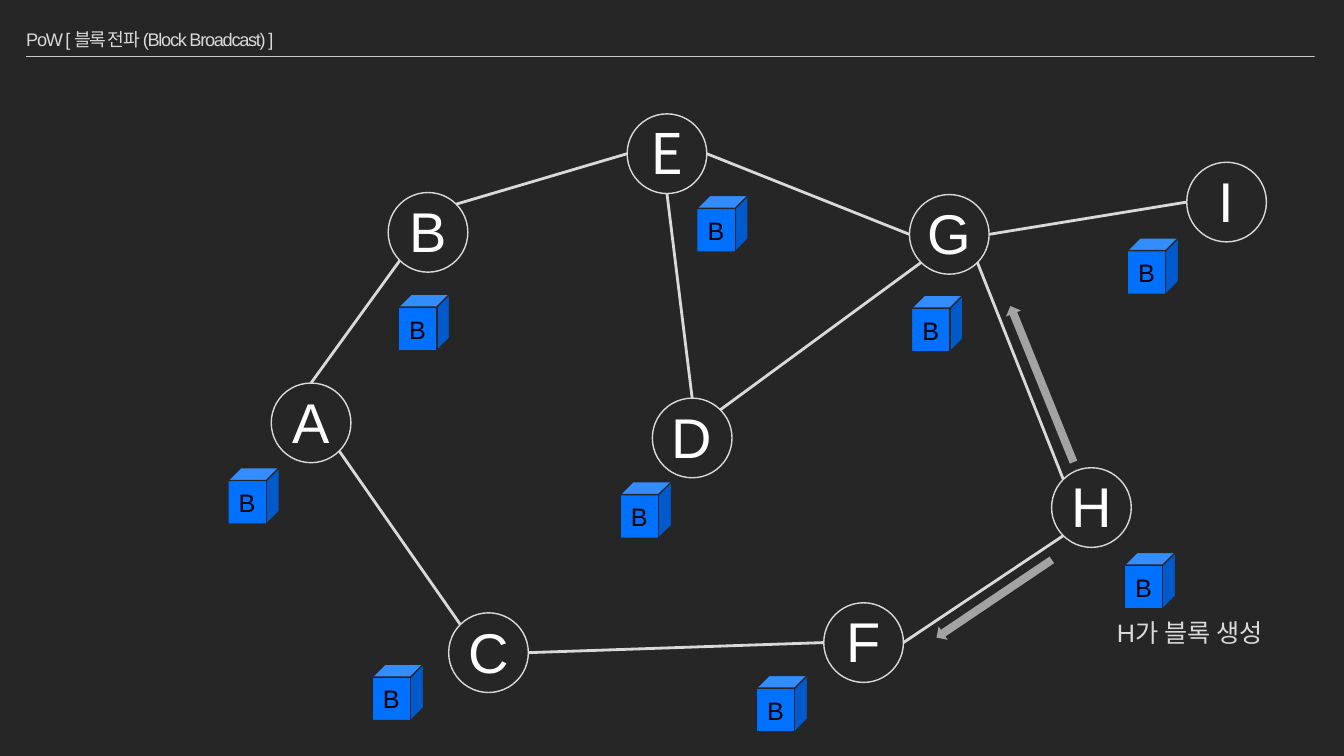
import math
from lxml import etree
from pptx import Presentation
from pptx import util as u
from pptx.dml.color import RGBColor
from pptx.enum import shapes, text
from pptx.oxml.ns import qn

SCALE = 9144
SIZE = 1333, 750
NODE = 79
CUBE = 51, 56
LATIN, KOREAN = "Arial", "Noto Sans CJK KR"
DARK, PALE, WHITE, BLACK, BLUE = "262626", "D9D9D9", "FFFFFF", "000000", "0071FF"

TITLE = "PoW [ 블록 전파 (Block Broadcast) ]"
NOTE = "H가 블록 생성"
NODES = {
    "A": (269, 380), "I": (1177, 161), "H": (1043, 464),
    "G": (902, 193), "F": (817, 598), "E": (622, 113),
    "D": (647, 395), "C": (445, 608), "B": (385, 191),
}
ANGLES = {"right": 0, "low right": 45, "bottom": 90, "low left": 135,
          "left": 180, "top left": 225, "top": 270, "top right": 315}
LINKS = [
    ("A", "top", "B", "low left"),
    ("E", "left", "B", "top right"),
    ("E", "bottom", "D", "top"),
    ("A", "low right", "C", "top left"),
    ("C", "right", "F", "left"),
    ("F", "right", "H", "low left"),
    ("D", "top right", "G", "low left"),
    ("G", "right", "I", "left"),
    ("G", "left", "E", "right"),
    ("G", "low right", "H", "top left"),
]
ARROWS = [((917, 586, 138, 16), 146), ((950, 373, 167, 16), 248)]
CUBES = [(750, 670), (1115, 548), (904, 293), (1118, 236), (691, 194),
         (615, 478), (395, 292), (226, 464), (369, 659)]


def px(*vals):
    return [u.Emu(round(v * SCALE)) for v in vals]


def tint(fill, color, alpha=None):
    fill.solid()
    fill.fore_color.rgb = RGBColor.from_string(color)
    if alpha:
        for clr in fill._xPr.iter(qn("a:srgbClr")):
            etree.SubElement(clr, qn("a:alpha")).set("val", str(alpha * 1000))


def style(obj, **vals):
    for key, val in vals.items():
        setattr(obj, key, val)


def write(shape, words, size, color, face=LATIN, align=None, **frame):
    style(shape.text_frame, **frame)
    par = shape.text_frame.paragraphs[0]
    par.alignment = align
    run = par.add_run()
    run.text = words
    style(run.font, size=u.Pt(size), name=face)
    tint(run.font.fill, color)
    etree.SubElement(run.font._element, qn("a:ea")).set("typeface", KOREAN)
    return par, run


def draw(kind, box, fill=None, line=None, alpha=None):
    shape = slide.shapes.add_shape(kind, *px(*box))
    shape.shadow.inherit = False
    if fill:
        tint(shape.fill, fill, alpha)
    else:
        shape.fill.background()
    if line:
        tint(shape.line.fill, line)
        shape.line.width = u.Pt(1)
    else:
        shape.line.fill.background()
    return shape


def link(start, end, width, color, alpha=None):
    line = slide.shapes.add_connector(shapes.MSO_CONNECTOR.STRAIGHT, *px(*start, *end))
    tint(line.line.fill, color, alpha)
    line.line.width = u.Pt(width)
    etree.SubElement(line._element.spPr, qn("a:effectLst"))


def rim(name, side):
    turn = math.radians(ANGLES[side])
    left, top = NODES[name]
    half = NODE / 2
    return left + half + half * math.cos(turn), top + half + half * math.sin(turn)


deck = Presentation()
deck.slide_width, deck.slide_height = px(*SIZE)
slide = deck.slides.add_slide(deck.slide_layouts[6])
tint(slide.background.fill, DARK)

link((26, 56), (1304, 56), 0.5, "F2F2F2", 80)
head = slide.shapes.add_textbox(*px(26, 21, 1281, 35))
par, run = write(head, TITLE, 13, PALE, word_wrap=True, margin_left=0, margin_right=0,
                 vertical_anchor=text.MSO_ANCHOR.MIDDLE)
par.line_spacing = 1.05
run.font._element.set("spc", "-90")

mid = {"align": text.PP_ALIGN.CENTER, "vertical_anchor": text.MSO_ANCHOR.MIDDLE}
for name, spot in NODES.items():
    node = draw(shapes.MSO_SHAPE.OVAL, (*spot, NODE, NODE), line=PALE)
    write(node, name, 40, WHITE, KOREAN if name == "E" else LATIN, **mid,
          margin_left=0, margin_top=0, margin_right=0, margin_bottom=px(4)[0])

for one, side, two, face in LINKS:
    link(rim(one, side), rim(two, face), 2, PALE)

for box, turn in ARROWS:
    draw(shapes.MSO_SHAPE.RIGHT_ARROW, box, PALE, alpha=70).rotation = turn

for spot in CUBES:
    cube = draw(shapes.MSO_SHAPE.CUBE, (*spot, *CUBE), BLUE, DARK)
    write(cube, "B", 18, BLACK, **mid)

note = slide.shapes.add_textbox(*px(1098, 608, 179, 40))
write(note, NOTE, 18, PALE, word_wrap=False,
      auto_size=text.MSO_AUTO_SIZE.SHAPE_TO_FIT_TEXT)

deck.save("out.pptx")
